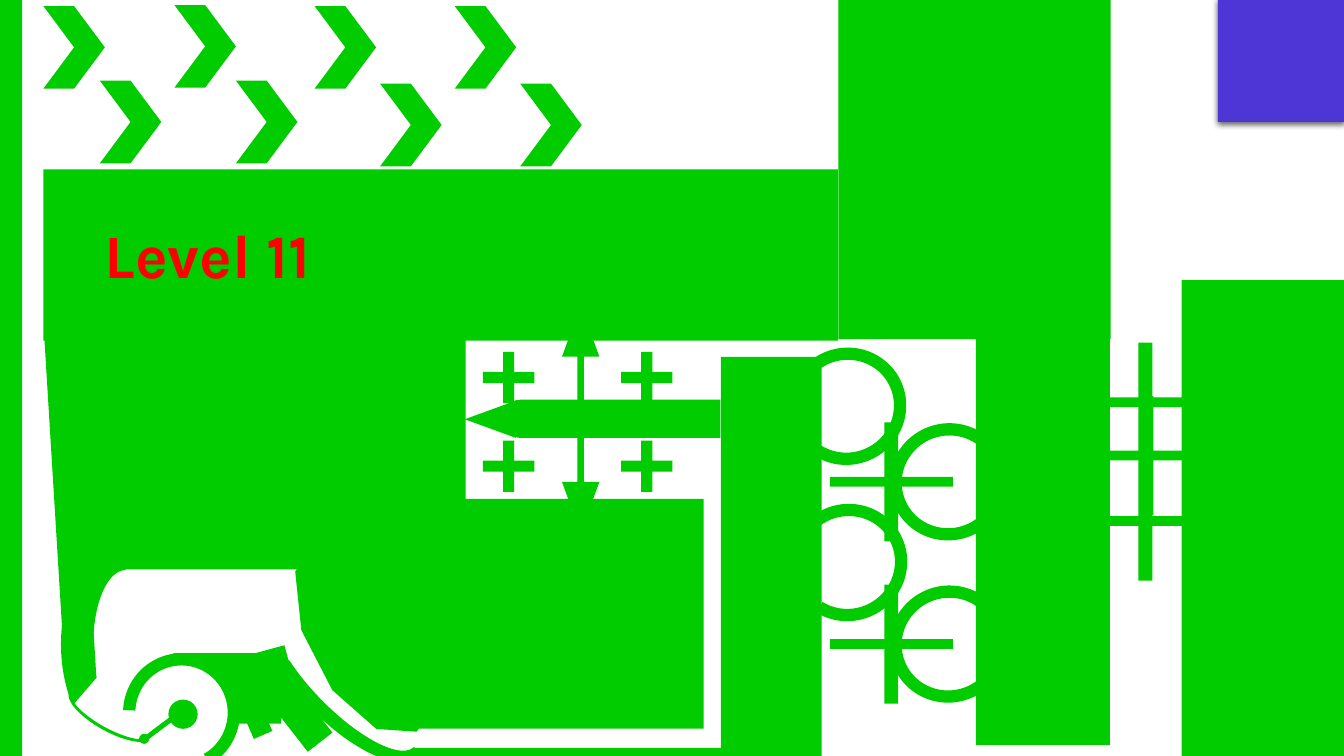
import pptx
import pptx.util
import pptx.dml.color
import pptx.enum.shapes
import pptx.enum.text
import lxml.etree

Inches = pptx.util.Inches
Kind = pptx.enum.shapes.MSO_SHAPE
COLORS = {"page": "FFFFFF", "wall": "00CC00", "goal": "4E36D6",
          "title": "FF0000", "shade": "000000"}
DRAWING = "http://schemas.openxmlformats.org/drawingml/2006/main"


def tint(name):
    return pptx.dml.color.RGBColor.from_string(COLORS[name])


def draw(slide, box, kind, place, turn=0, bends=(), color="wall"):
    x, y, width, height = place
    shape = slide.shapes.add_shape(
        kind, Inches(box[0] + x), Inches(box[1] + y), Inches(width), Inches(height))
    shape.shadow.inherit = False
    shape.fill.solid()
    shape.fill.fore_color.rgb = tint(color)
    shape.line.fill.background()
    shape.rotation = turn
    for index, bend in enumerate(bends):
        shape.adjustments[index] = bend
    return shape


def draw_walls(slide, box):
    for place, turn in (
        ((7.97, 0.32, 3.39, 2.7), 270),
        ((0.43, 1.68, 7.88, 1.7), 0),
        ((-0.02, -0.02, 0.24, 7.52), 0),
        ((4.1, 7.42, 3.32, 0.15), 0),
        ((3.9, 4.95, 3.08, 2.28), 0),
        ((3.51, 3.33, 1.11, 2.5), 0),
        ((7.15, 3.54, 1, 4.02), 0),
        ((9.68, 3.24, 1.33, 4.15), 0),
        ((11.72, 2.78, 1.62, 4.74), 0),
    ):
        draw(slide, box, Kind.RECTANGLE, place, turn)


def draw_arrows(slide, box):
    for x, y in ((0, 0.01), (1.3, 0), (2.69, 0.01), (4.08, 0.01),
                 (0.56, 0.75), (1.91, 0.75), (3.34, 0.78), (4.73, 0.78)):
        draw(slide, box, Kind.CHEVRON, (x, y, 0.61, 0.82))


def draw_pit(slide, box):
    for place, turn in (
        ((0.04, 0.29, 0.31, 3.4), 356.5),
        ((0.24, 0.37, 2.78, 2.28), 0),
        ((1.66, 3.49, 0.7, 0.2), 344.7),
        ((1.22, 3.48, 1.05, 0.12), 0),
        ((1.83, 3.54, 0.46, 0.64), 0),
        ((2.24, 3.55, 0.31, 0.91), 322),
        ((0.88, 4.21, 0.37, 0.05), 323.1),
        ((1.62, 3.87, 0.7, 0.2), 246.5),
    ):
        draw(slide, box, Kind.RECTANGLE, place, turn)
    for place, turn, bends in (
        ((-0.31, 2.75, 2.11, 1.28), 270, (132.482, 0, 0.25)),
        ((1.82, 3.26, 2.21, 0.92), 225.4, (108, 198.813, 0.147)),
        ((0.13, 3.92, 0.95, 0.34), 208.6, (114.093, 8.868, 0.091)),
        ((0.71, 3.49, 1.18, 1.16), 90, (55.528, 198.987, 0.105)),
    ):
        draw(slide, box, Kind.BLOCK_ARC, place, turn, bends)
    draw(slide, box, Kind.DECAGON, (2.05, 2.74, 2.17, 1.11), 62.7)
    draw(slide, box, Kind.OVAL, (1.17, 3.94, 0.29, 0.29))
    draw(slide, box, Kind.OVAL, (0.88, 4.28, 0.1, 0.1))


def draw_gate(slide, box):
    draw(slide, box, Kind.QUAD_ARROW, (0, 0, 2.3, 2.26), 0, (0.029, 0.082, 0.225))
    draw(slide, box, Kind.ROUND_2_SAME_RECTANGLE,
         (1.26, 0.04, 0.38, 2.17), 270, (0.5, 0))
    for x in (0.18, 1.55):
        for y in (0.46, 1.34):
            draw(slide, box, Kind.CROSS, (x, y, 0.51, 0.51), 0, (0.392,))


def draw_cross(slide, box, x, y):
    draw(slide, box, Kind.CROSS, (x, y, 1.22, 1.18), 0, (0.459,))


def draw_rings(slide, box):
    for x, y, turn in ((0, 0, 151.1), (1.01, 0.75, 335.5),
                       (0.01, 1.55, 151.1), (1.01, 2.36, 337.1)):
        draw(slide, box, Kind.BLOCK_ARC, (x, y, 1.18, 1.16), turn,
             (44.402, 198.987, 0.105))
    for y in (0.74, 2.35):
        draw_cross(slide, box, 0.42, y)


def draw_ladder(slide, box):
    for x, y in ((0, 0), (0, 1.18), (0.01, 0.53)):
        draw_cross(slide, box, x, y)


def draw_goal(slide, box):
    goal = draw(slide, box, Kind.RECTANGLE, (0, 0, 1.26, 1.22), color="goal")
    effects = goal.element.spPr.find(f"{{{DRAWING}}}effectLst")
    shade = lxml.etree.SubElement(
        effects, f"{{{DRAWING}}}outerShdw", blurRad=str(pptx.util.Pt(4.5)),
        dist=str(pptx.util.Pt(1.5)), dir="5400000", algn="t", rotWithShape="0")
    color = lxml.etree.SubElement(shade, f"{{{DRAWING}}}srgbClr", val=COLORS["shade"])
    lxml.etree.SubElement(color, f"{{{DRAWING}}}alpha", val="63000")


def write_title(slide, box):
    title = slide.shapes.title
    title.left, title.top, title.width, title.height = map(Inches, box)
    frame = title.text_frame
    frame.word_wrap = True
    frame.auto_size = pptx.enum.text.MSO_AUTO_SIZE.NONE
    frame.vertical_anchor = pptx.enum.text.MSO_ANCHOR.BOTTOM
    line = frame.paragraphs[0]
    line.alignment = pptx.enum.text.PP_ALIGN.CENTER
    line.line_spacing = 0.9
    run = line.add_run()
    run.text = "Level 11"
    run.font.name = "Karla"
    run.font.size = pptx.util.Pt(44)
    run.font.bold = True
    run.font.color.rgb = tint("title")
    title.element.getparent().append(title.element)


def main():
    deck = pptx.Presentation()
    deck.slide_width = Inches(13.33)
    deck.slide_height = Inches(7.5)
    slide = deck.slides.add_slide(deck.slide_layouts[5])
    draw(slide, (0, 0), Kind.RECTANGLE, (0, 0, 13.33, 7.5), color="page")
    draw_walls(slide, (0, 0))
    draw_arrows(slide, (0.43, 0.05))
    draw_pit(slide, (0.5, 3))
    draw_gate(slide, (4.61, 3.03))
    draw_rings(slide, (7.81, 3.45))
    draw_ladder(slide, (10.75, 3.4))
    draw_goal(slide, (12.08, -0.01))
    write_title(slide, (0.67, 1.92, 2.78, 1.03))
    deck.save("out.pptx")


if __name__ == "__main__":
    main()
